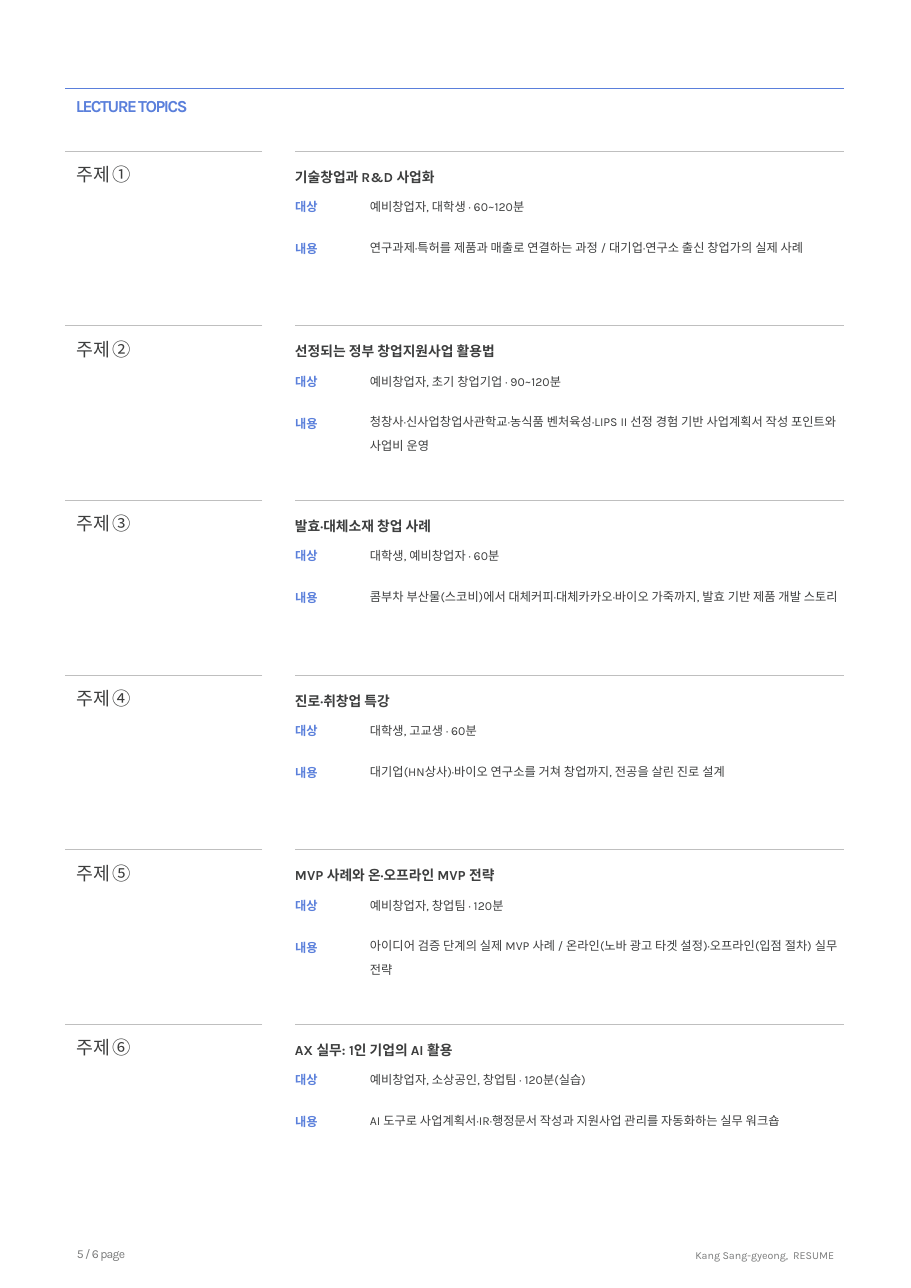
import pptx
import pptx.util
import pptx.dml.color
import pptx.enum.shapes
import pptx.enum.text
import pptx.oxml.ns
import lxml.etree

PX = 4572  # EMU per px, 200 px to the inch
BLUE = pptx.dml.color.RGBColor(0x5A, 0x7F, 0xDB)
DARK = pptx.dml.color.RGBColor(0x3D, 0x3E, 0x3E)
GRAY = pptx.dml.color.RGBColor(0x7B, 0x7C, 0x7C)
RULE = pptx.dml.color.RGBColor(0xBF, 0xBF, 0xBF)

deck = pptx.Presentation()
deck.slide_width, deck.slide_height = 1654 * PX, 2338 * PX
page = deck.slides.add_slide(deck.slide_layouts[6])


def add_text(text, left, top, width, height, size, color,
             bold=False, leading=None, tracking=0, align="LEFT"):
    box = page.shapes.add_textbox(left * PX, top * PX, width * PX, height * PX)
    box.text_frame.word_wrap = True
    box.text_frame.auto_size = pptx.enum.text.MSO_AUTO_SIZE.SHAPE_TO_FIT_TEXT
    paragraph = box.text_frame.paragraphs[0]
    paragraph.alignment = pptx.enum.text.PP_ALIGN[align]
    if leading:
        paragraph.line_spacing = pptx.util.Pt(leading)
    run = paragraph.add_run()
    run.text = text
    font_format = {"name": "Karla", "size": pptx.util.Pt(size), "bold": bold}
    for attribute, value in font_format.items():
        setattr(run.font, attribute, value)
    run.font.color.rgb = color
    if tracking:
        run.font._element.set("spc", str(tracking))


def add_rule(left, right, top, color, weight):
    rule = page.shapes.add_connector(
        pptx.enum.shapes.MSO_CONNECTOR.STRAIGHT,
        right * PX, top * PX, left * PX, top * PX)
    rule.line.color.rgb = color
    rule.line.width = pptx.util.Pt(weight)
    lxml.etree.SubElement(rule._element.spPr, pptx.oxml.ns.qn("a:effectLst"))


# Header
add_rule(118, 1532, 160, BLUE, 0.25)
add_text("LECTURE TOPICS", 118, 164, 874, 58, 11, BLUE, bold=True, tracking=-100)

# Footer
add_text("5 / 6 page", 120, 2242, 276, 56, 8, GRAY, leading=13.6, tracking=-50)
add_text("Kang Sang-gyeong,  RESUME", 1052, 2242, 482, 56, 7, GRAY,
         leading=13.6, align="RIGHT")

# Lecture topics: number, title, audience, content
topics = [
    ("①", "기술창업과 R&D 사업화", "예비창업자, 대학생 · 60~120분",
     "연구과제·특허를 제품과 매출로 연결하는 과정 / 대기업·연구소 출신 창업가의 실제 사례"),
    ("②", "선정되는 정부 창업지원사업 활용법", "예비창업자, 초기 창업기업 · 90~120분",
     "청창사·신사업창업사관학교·농식품 벤처육성·LIPS II 선정 경험 기반 사업계획서 작성 포인트와 사업비 운영"),
    ("③", "발효·대체소재 창업 사례", "대학생, 예비창업자 · 60분",
     "콤부차 부산물(스코비)에서 대체커피·대체카카오·바이오 가죽까지, 발효 기반 제품 개발 스토리"),
    ("④", "진로·취창업 특강", "대학생, 고교생 · 60분",
     "대기업(HN상사)·바이오 연구소를 거쳐 창업까지, 전공을 살린 진로 설계"),
    ("⑤", "MVP 사례와 온·오프라인 MVP 전략", "예비창업자, 창업팀 · 120분",
     "아이디어 검증 단계의 실제 MVP 사례 / 온라인(노바 광고 타겟 설정)·오프라인(입점 절차) 실무 전략"),
    ("⑥", "AX 실무: 1인 기업의 AI 활용", "예비창업자, 소상공인, 창업팀 · 120분(실습)",
     "AI 도구로 사업계획서·IR·행정문서 작성과 지원사업 관리를 자동화하는 실무 워크숍"),
]
FIRST_TOP, TOPIC_PITCH = 274, 317
for index, (number, title, audience, content) in enumerate(topics):
    top = FIRST_TOP + index * TOPIC_PITCH
    add_text(title, 516, top + 3, 1006, 66, 9, DARK, bold=True, leading=17.6)
    add_text(f"주제 {number}", 120, top + 15, 276, 100, 12, DARK,
             leading=13.6, tracking=-50)
    add_rule(118, 476, top, RULE, 0.15)
    add_rule(536, 1532, top, RULE, 0.15)
    for label, offset in (("대상", 56), ("내용", 132)):
        add_text(label, 516, top + offset, 136, 64, 8, BLUE, bold=True, leading=17.6)
    add_text(audience, 652, top + 56, 1040, 64, 8, DARK, leading=17.6)
    add_text(content, 652, top + 135, 922, 150, 8, DARK, leading=15.6)

deck.save("out.pptx")
